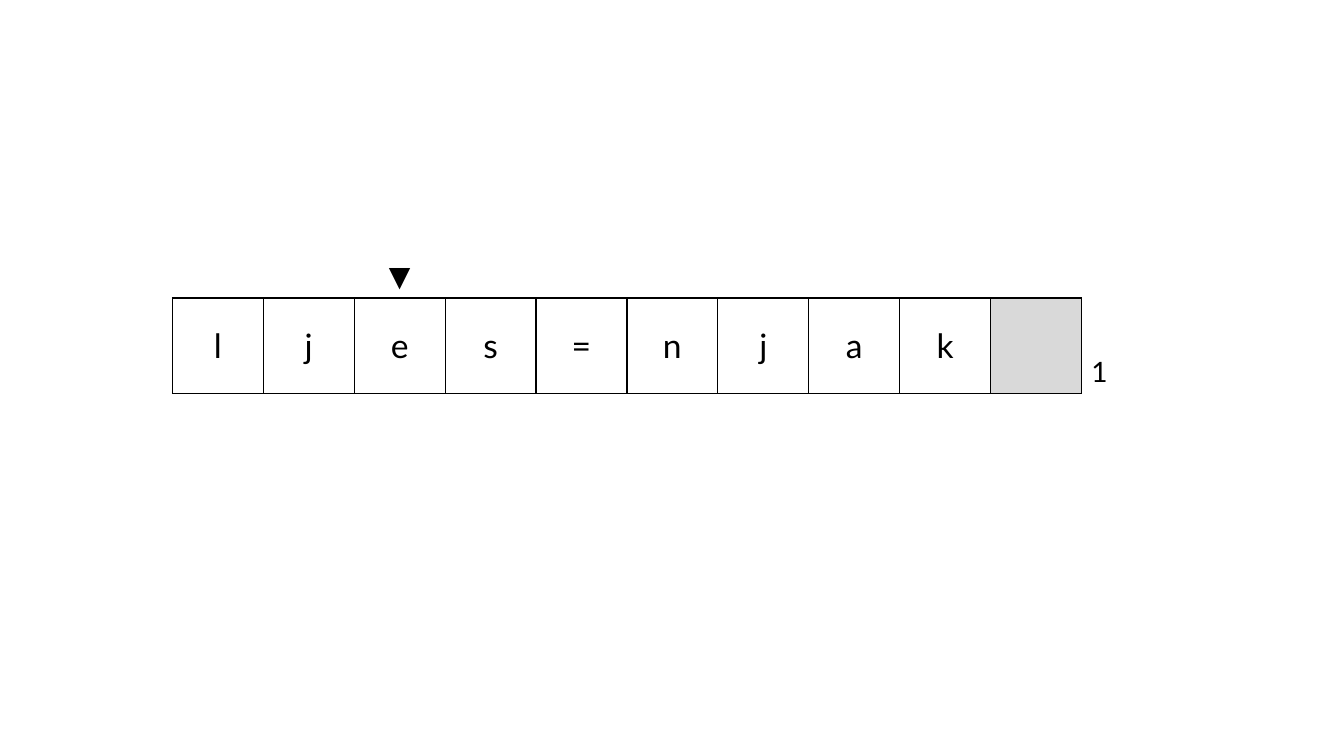
from dataclasses import dataclass

from lxml import etree
from pptx import Presentation
from pptx.dml.color import RGBColor
from pptx.enum.text import MSO_ANCHOR, PP_ALIGN
from pptx.oxml.ns import qn
from pptx.util import Inches, Pt

BOTTOM, MIDDLE = MSO_ANCHOR.BOTTOM, MSO_ANCHOR.MIDDLE
CENTER, LEFT = PP_ALIGN.CENTER, PP_ALIGN.LEFT


@dataclass(frozen=True)
class Theme:
    """Colours, font and sizes of the slide."""
    ink: str = "000000"
    paper: str = "FFFFFF"
    blank: str = "D9D9D9"
    font: str = "Lato"
    letter_size: int = 24
    mark_size: int = 20
    rule_width: int = 1


THEME = Theme()
LETTERS = "ljes=njak"
POINTER = "▼"
POINTER_COLUMN = 2
TAPE_NUMBER = "1"
POINTER_HEIGHT = 0.43


def style_cell(cell, sides, fill):
    """Rule the given sides of a cell, clear the others and fill it."""
    properties = cell._tc.get_or_add_tcPr()
    for side in "LRTB":
        line = etree.SubElement(properties, qn(f"a:ln{side}"), w=str(Pt(THEME.rule_width)))
        if side in sides:
            solid = etree.SubElement(line, qn("a:solidFill"))
            etree.SubElement(solid, qn("a:srgbClr"), val=THEME.ink)
        else:
            etree.SubElement(line, qn("a:noFill"))
    cell.fill.solid()
    cell.fill.fore_color.rgb = RGBColor.from_string(fill)


def write_cell(cell, text, size, anchor, align):
    """Write one symbol into a cell."""
    cell.vertical_anchor = anchor
    symbol = cell.text_frame.paragraphs[0]
    symbol.text = text
    symbol.alignment = align
    symbol.font.name = THEME.font
    symbol.font.size = Pt(size)
    symbol.font.color.rgb = RGBColor.from_string(THEME.ink)


def add_tape(slide, left, top, width, height):
    """Draw the tape with its pointer row above and its number at the right."""
    blank_column = len(LETTERS)
    number_column = blank_column + 1
    columns = number_column + 1
    tape = slide.shapes.add_table(
        2, columns, Inches(left), Inches(top), Inches(width), Inches(height)).table
    tape.first_row = False
    tape.horz_banding = False
    for column in tape.columns:
        column.width = Inches(width / columns)
    pointer_row, symbol_row = tape.rows
    pointer_row.height = Inches(POINTER_HEIGHT)
    symbol_row.height = Inches(height - POINTER_HEIGHT)

    for index in range(columns):
        on_tape = index < number_column
        fill = THEME.blank if index == blank_column else THEME.paper
        style_cell(tape.cell(0, index), "B" if on_tape else "", THEME.paper)
        style_cell(tape.cell(1, index), "LRTB" if on_tape else "L", fill)
    for index, letter in enumerate(LETTERS):
        write_cell(tape.cell(1, index), letter, THEME.letter_size, MIDDLE, CENTER)
    write_cell(tape.cell(0, POINTER_COLUMN), POINTER, THEME.mark_size, BOTTOM, CENTER)
    write_cell(tape.cell(1, number_column), TAPE_NUMBER, THEME.mark_size, BOTTOM, LEFT)


def main():
    """Build and save the presentation."""
    presentation = Presentation()
    presentation.slide_width = Inches(13.33)
    presentation.slide_height = Inches(7.5)
    slide = presentation.slides.add_slide(presentation.slide_layouts[6])
    add_tape(slide, 1.71, 2.52, 9.92, 1.38)
    presentation.save("out.pptx")


if __name__ == "__main__":
    main()
